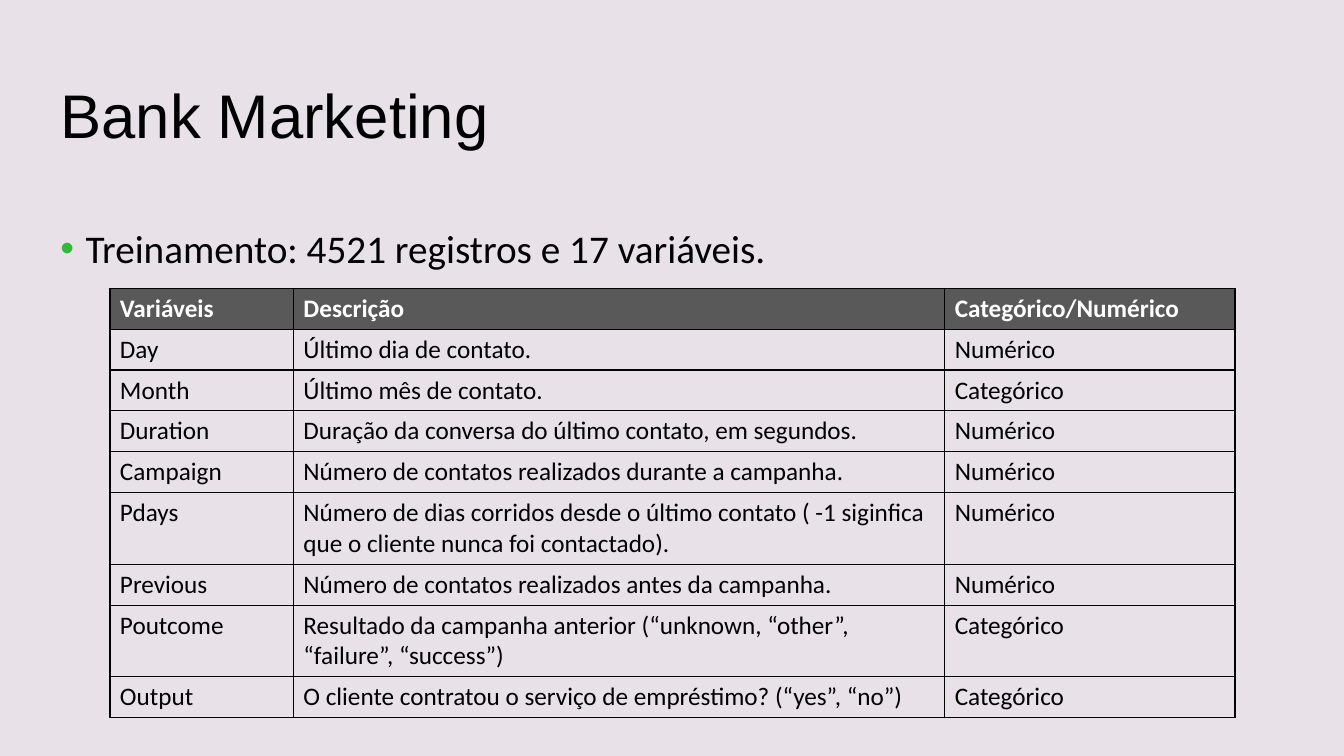
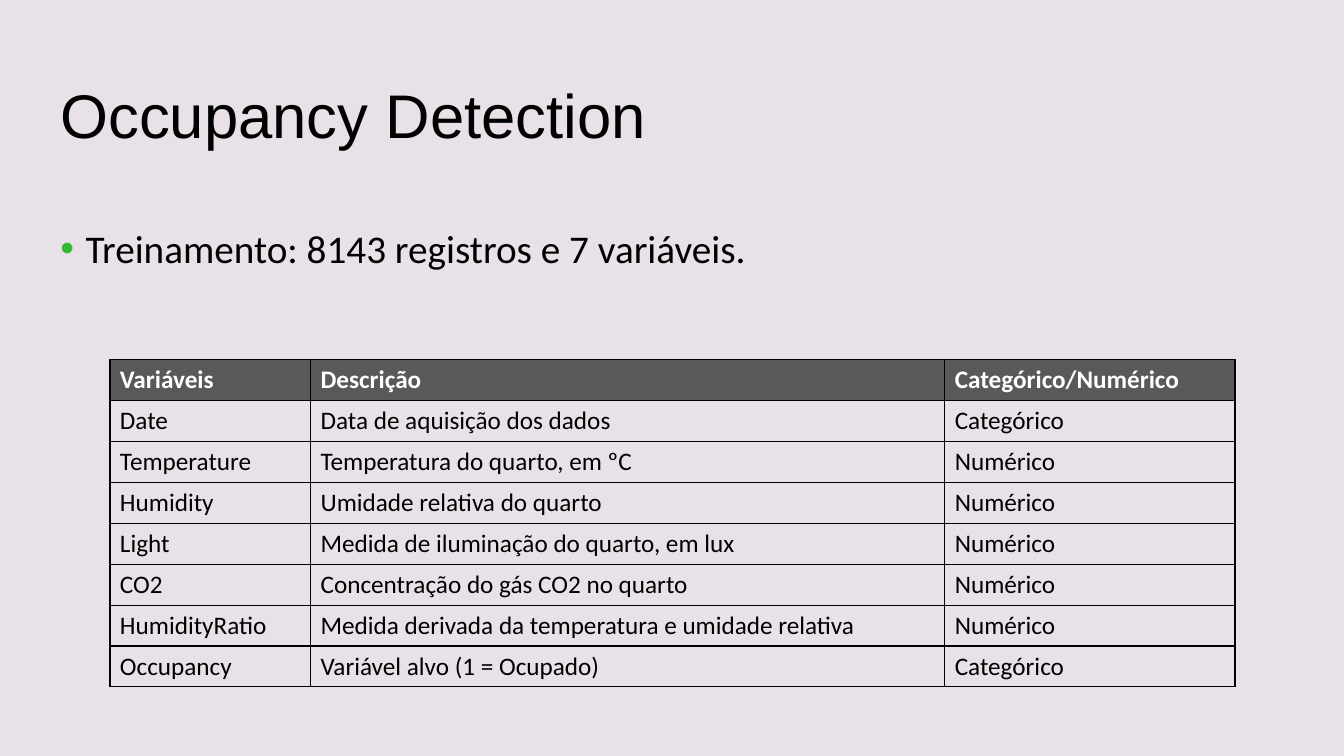
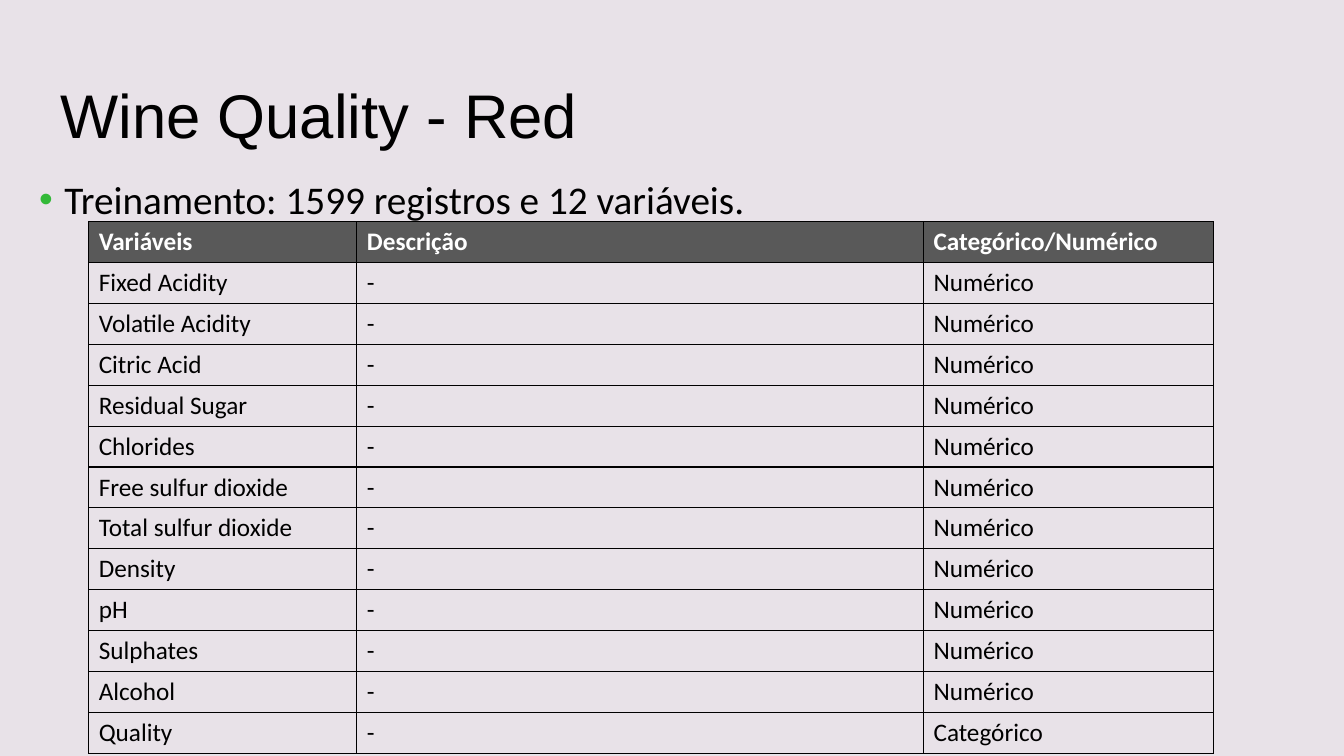
"""Three slides that describe the variables of three data sets."""
from lxml import etree
from pptx import Presentation
from pptx.dml.color import RGBColor
from pptx.enum.text import MSO_ANCHOR, PP_ALIGN
from pptx.oxml.ns import qn
from pptx.util import Inches, Pt

LEFT = PP_ALIGN.LEFT
MIDDLE = MSO_ANCHOR.MIDDLE

BACKGROUND = RGBColor(0xE8, 0xE2, 0xE8)
HEADER_FILL = RGBColor(0x59, 0x59, 0x59)
BULLET = RGBColor(0x33, 0xB9, 0x38)
BLACK = RGBColor(0, 0, 0)
WHITE = RGBColor(255, 255, 255)

TITLE_FONT = {"name": "Arial", "size": Pt(44), "bold": False, "color": BLACK}
SUMMARY_FONT = {"name": "Calibri", "size": Pt(28), "bold": False, "color": BLACK}
HEADER_FONT = {"name": "Calibri", "size": Pt(18), "bold": True, "color": WHITE}
BODY_FONT = HEADER_FONT | {"bold": False, "color": BLACK}

TITLE_BOX = (0.5, 0.4, 11.92, 1.45)
SUMMARY_SIZE = (12.33, 4.59)
TABLE_WIDTH = 11.16
KIND_WIDTH = 2.88
ROW_HEIGHT = 0.4
BORDER_SIDES = ("a:lnL", "a:lnR", "a:lnT", "a:lnB")

HEADER = ("Variáveis", "Descrição", "Categórico/Numérico")
NUMERIC = "Numérico"
CATEGORICAL = "Categórico"

WINE_MEASURES = (
    "Fixed Acidity", "Volatile Acidity", "Citric Acid", "Residual Sugar",
    "Chlorides", "Free sulfur dioxide", "Total sulfur dioxide", "Density",
    "pH", "Sulphates", "Alcohol",
)

DATA_SETS = [
    {
        "title": "Bank Marketing",
        "summary": "Treinamento: 4521 registros e 17 variáveis.",
        "summary_at": (0.5, 2.13),
        "table_at": (1.09, 2.86),
        "name_width": 1.82,
        "variables": [
            ("Day", "Último dia de contato.", NUMERIC),
            ("Month", "Último mês de contato.", CATEGORICAL),
            ("Duration", "Duração da conversa do último contato, em segundos.", NUMERIC),
            ("Campaign", "Número de contatos realizados durante a campanha.", NUMERIC),
            ("Pdays", "Número de dias corridos desde o último contato ( -1 siginfica "
             "que o cliente nunca foi contactado).", NUMERIC),
            ("Previous", "Número de contatos realizados antes da campanha.", NUMERIC),
            ("Poutcome", "Resultado da campanha anterior (“unknown, “other”, "
             "“failure”, “success”)", CATEGORICAL),
            ("Output", "O cliente contratou o serviço de empréstimo? (“yes”, “no”)",
             CATEGORICAL),
        ],
    },
    {
        "title": "Occupancy Detection",
        "summary": "Treinamento: 8143 registros e 7 variáveis.",
        "summary_at": (0.5, 2.13),
        "table_at": (1.09, 3.57),
        "name_width": 1.99,
        "variables": [
            ("Date", "Data de aquisição dos dados", CATEGORICAL),
            ("Temperature", "Temperatura do quarto, em ºC", NUMERIC),
            ("Humidity", "Umidade relativa do quarto", NUMERIC),
            ("Light", "Medida de iluminação do quarto, em lux", NUMERIC),
            ("CO2", "Concentração do gás CO2 no quarto", NUMERIC),
            ("HumidityRatio", "Medida derivada da temperatura e umidade relativa", NUMERIC),
            ("Occupancy", "Variável alvo (1 = Ocupado)", CATEGORICAL),
        ],
    },
    {
        "title": "Wine Quality - Red",
        "summary": "Treinamento: 1599 registros e 12 variáveis.",
        "summary_at": (0.29, 1.64),
        "table_at": (0.88, 2.2),
        "name_width": 2.66,
        "variables": [(name, "-", NUMERIC) for name in WINE_MEASURES]
        + [("Quality", "-", CATEGORICAL)],
    },
]


def inches(values):
    return [Inches(value) for value in values]


def format_font(font, values):
    for name, value in values.items():
        if name == "color":
            font.color.rgb = value
        else:
            setattr(font, name, value)


def add_title(slide, text):
    title = slide.shapes.title
    for name, value in zip(("left", "top", "width", "height"), inches(TITLE_BOX)):
        setattr(title, name, value)
    frame = title.text_frame
    frame.text = text
    frame.vertical_anchor = MIDDLE
    paragraph = frame.paragraphs[0]
    paragraph.alignment = LEFT
    format_font(paragraph.runs[0].font, TITLE_FONT)


def add_summary(slide, text, position):
    box = slide.shapes.add_textbox(*inches(position + SUMMARY_SIZE))
    frame = box.text_frame
    frame.word_wrap = True
    frame.text = text
    paragraph = frame.paragraphs[0]
    paragraph.line_spacing = 1.1
    properties = paragraph._p.get_or_add_pPr()
    properties.set("marL", str(Inches(0.25)))
    properties.set("indent", str(Inches(-0.25)))
    color = etree.SubElement(properties, qn("a:buClr"))
    etree.SubElement(color, qn("a:srgbClr"), val=str(BULLET))
    etree.SubElement(properties, qn("a:buFont"), typeface="Arial")
    etree.SubElement(properties, qn("a:buChar"), char="•")
    format_font(paragraph.runs[0].font, SUMMARY_FONT)


def add_borders(cell):
    properties = cell._tc.get_or_add_tcPr()
    for side in BORDER_SIDES:
        line = etree.SubElement(properties, qn(side), w=str(Pt(1)))
        fill = etree.SubElement(line, qn("a:solidFill"))
        etree.SubElement(fill, qn("a:srgbClr"), val=str(BLACK))


def add_variable_table(slide, variables, position, name_width):
    rows = [HEADER] + variables
    size = (TABLE_WIDTH, ROW_HEIGHT * len(rows))
    frame = slide.shapes.add_table(len(rows), len(HEADER), *inches(position + size))
    table = frame.table
    table.horz_banding = False
    widths = (name_width, TABLE_WIDTH - name_width - KIND_WIDTH, KIND_WIDTH)
    for column, width in zip(table.columns, inches(widths)):
        column.width = width
    for row_index, row in enumerate(rows):
        for column_index, text in enumerate(row):
            cell = table.cell(row_index, column_index)
            cell.text = text
            add_borders(cell)
            if row_index == 0:
                cell.fill.solid()
                cell.fill.fore_color.rgb = HEADER_FILL
            else:
                cell.fill.background()
            font = cell.text_frame.paragraphs[0].runs[0].font
            format_font(font, BODY_FONT if row_index else HEADER_FONT)


def main():
    presentation = Presentation()
    presentation.slide_width = Inches(13.33)
    presentation.slide_height = Inches(7.5)
    background = presentation.slide_master.background.fill
    background.solid()
    background.fore_color.rgb = BACKGROUND
    title_only = presentation.slide_layouts[5]
    for data_set in DATA_SETS:
        slide = presentation.slides.add_slide(title_only)
        add_title(slide, data_set["title"])
        add_variable_table(slide, data_set["variables"], data_set["table_at"],
                           data_set["name_width"])
        add_summary(slide, data_set["summary"], data_set["summary_at"])
    presentation.save("out.pptx")


if __name__ == "__main__":
    main()
